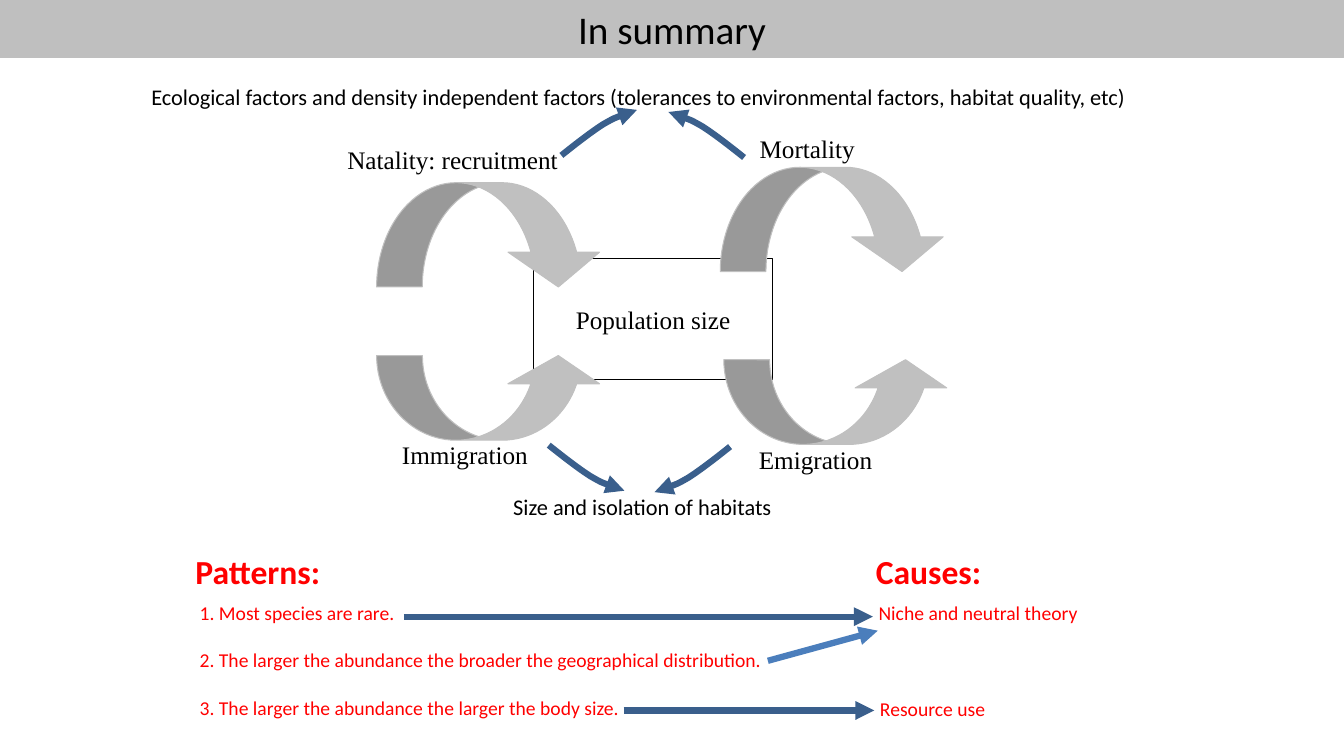
import pptx
import pptx.dml.color
import pptx.enum.shapes
import pptx.enum.text
import pptx.oxml
import pptx.oxml.ns
import pptx.util

Pt = pptx.util.Pt
SHAPES = pptx.enum.shapes.MSO_SHAPE
ALIGN = pptx.enum.text.PP_ALIGN
ANCHOR = pptx.enum.text.MSO_ANCHOR
BLACK, RED, BLUE, LIGHT_BLUE = "000000", "FF0000", "3A5F8C", "4B7EBC"
BAR_GRAY, ARROW_GRAY = "BFBFBF", "C0C0C0"
SERIF, SANS = "Times New Roman", "Calibri"
CURVE = [(10, -8), (21, -16.5), (29.5, -22), (39, -27.5), (46.5, -30), (54, -32.5)]


def color(hex_string):
    return pptx.dml.color.RGBColor.from_string(hex_string)


def style_paragraph(paragraph, size, font_name, hex_string, bold=False):
    paragraph.font.size = Pt(size)
    paragraph.font.name = font_name
    paragraph.font.color.rgb = color(hex_string)
    paragraph.font.bold = bold


def add_text(slide, box, lines, size, font_name, hex_string, wrap=False, gap=0):
    text_box = slide.shapes.add_textbox(*map(Pt, box))
    frame = text_box.text_frame
    frame.word_wrap = wrap
    for index, line in enumerate(lines):
        paragraph = frame.add_paragraph() if index else frame.paragraphs[0]
        paragraph.text = line
        if index:
            paragraph.space_before = Pt(gap)
        style_paragraph(paragraph, size, font_name, hex_string)
    return text_box


def add_preset(slide, preset, box, fill, line):
    shape = slide.shapes.add_shape(preset, *map(Pt, box))
    shape.shadow.inherit = False
    if fill:
        shape.fill.solid()
        shape.fill.fore_color.rgb = color(fill)
    else:
        shape.fill.background()
    shape.line.color.rgb = color(line)
    shape.line.width = Pt(0.75)
    return shape


def style_arrow(shape, hex_string):
    shape.line.color.rgb = color(hex_string)
    shape.line.width = Pt(4.5)
    line = shape.line._get_or_add_ln()
    pptx.oxml.ns.qn("a:tailEnd")
    line.append(pptx.oxml.parse_xml(
        '<a:tailEnd xmlns:a="http://schemas.openxmlformats.org/drawingml/2006/main" type="triangle"/>'))


def add_straight_arrow(slide, start, end, hex_string):
    connector = slide.shapes.add_connector(
        pptx.enum.shapes.MSO_CONNECTOR.STRAIGHT, *map(Pt, start + end))
    style_arrow(connector, hex_string)
    properties = connector.element.spPr
    properties.append(properties.makeelement(pptx.oxml.ns.qn("a:effectLst"), {}))


def add_curved_arrow(slide, x, y, across, down):
    builder = slide.shapes.build_freeform(Pt(x), Pt(y))
    builder.add_line_segments(
        [(Pt(x + across * dx), Pt(y + down * dy)) for dx, dy in CURVE], close=False)
    shape = builder.convert_to_shape()
    segments = list(shape.element.iter(pptx.oxml.ns.qn("a:lnTo")))
    outline = segments[0].getparent()
    for first in range(0, len(segments), 3):
        curve = outline.makeelement(pptx.oxml.ns.qn("a:cubicBezTo"), {})
        outline.append(curve)
        for segment in segments[first:first + 3]:
            curve.append(segment[0])
            outline.remove(segment)
    shape.shadow.inherit = False
    shape.fill.background()
    style_arrow(shape, BLUE)


def add_title(slide, left, top, width, height):
    bar = add_preset(slide, SHAPES.RECTANGLE, (left, top, width, height), BAR_GRAY, BAR_GRAY)
    bar.text_frame.vertical_anchor = ANCHOR.MIDDLE
    paragraph = bar.text_frame.paragraphs[0]
    paragraph.text = "In summary"
    paragraph.alignment = ALIGN.CENTER
    style_paragraph(paragraph, 28, SANS, BLACK)


def add_population_cycle(slide, left, top, width, height):
    population = add_preset(
        slide, SHAPES.RECTANGLE, (left + 280, top + 129.5, 171, 86), None, BLACK)
    population.text_frame.vertical_anchor = ANCHOR.MIDDLE
    paragraph = population.text_frame.paragraphs[0]
    paragraph.text = "Population size"
    paragraph.alignment = ALIGN.CENTER
    style_paragraph(paragraph, 18, SERIF, BLACK)

    for x, y, arrow_height, adjustments, flipped in [
        (168, 75, 74.5, (0.438, 0.877, 0.333), False),
        (413.5, 64, 74.5, (0.438, 0.877, 0.333), False),
        (416, 201.5, 60.5, (0.541, 1.082, 0.333), True),
        (168, 198.5, 60.5, (0.541, 1.082, 0.333), True),
    ]:
        arrow = add_preset(slide, SHAPES.CURVED_DOWN_ARROW,
                           (left + x, top + y, 162.5, arrow_height), ARROW_GRAY, ARROW_GRAY)
        for index, adjustment in enumerate(adjustments):
            arrow.adjustments[index] = adjustment
        if flipped:
            arrow.element.spPr.xfrm.set("flipV", "1")

    for label, x, y, label_width in [
        ("Natality: recruitment", 140, 44, 215),
        ("Mortality", 434.5, 36, 105),
        ("Immigration", 179, 255, 135),
        ("Emigration", 434, 258, 122),
    ]:
        add_text(slide, (left + x, top + y, label_width, 36), [label], 18, SERIF, BLACK)

    add_text(slide, (left, top, width, 26.5),
             ["Ecological factors and density independent factors "
              "(tolerances to environmental factors, habitat quality, etc)"], 16, SANS, BLACK)
    add_text(slide, (left + 258.5, top + height - 26.5, 206, 26.5),
             ["Size and isolation of habitats"], 16, SANS, BLACK)
    for x, y, across, down in [
        (300, 55.5, 1, 1), (430.5, 57, -1, 1), (291, 262.5, 1, -1), (420.5, 263.5, -1, -1),
    ]:
        add_curved_arrow(slide, left + x, top + y, across, down)


def add_patterns_and_causes(slide, left, top, width, height):
    heading = slide.shapes.add_textbox(Pt(left), Pt(top), Pt(width), Pt(36))
    heading.text_frame.word_wrap = True
    paragraph = heading.text_frame.paragraphs[0]
    paragraph.text = "Patterns:\tCauses:"
    paragraph._p.get_or_add_pPr().append(pptx.oxml.parse_xml(
        '<a:tabLst xmlns:a="http://schemas.openxmlformats.org/drawingml/2006/main">'
        f'<a:tab pos="{Pt(486)}" algn="l"/></a:tabLst>'))
    style_paragraph(paragraph, 24, SANS, RED, bold=True)

    add_text(slide, (left + 3, top + 36, 417, height - 36), [
        "1. Most species are rare.",
        "2. The larger the abundance the broader the geographical distribution.",
        "3. The larger the abundance the larger the body size.",
    ], 14, SANS, RED, wrap=True, gap=16.8)
    for cause, x, y in [("Niche and neutral theory", 488, 36), ("Resource use", 489, 104)]:
        add_text(slide, (left + x, top + y, 213, 24.5), [cause], 14, SANS, RED, wrap=True)
    for start, end, hex_string in [
        ((156, 50.5), (491, 50.5), BLUE),
        ((416, 82), (494.5, 60.5), LIGHT_BLUE),
        ((313, 117.5), (492, 117.5), BLUE),
    ]:
        add_straight_arrow(slide, (left + start[0], top + start[1]),
                           (left + end[0], top + end[1]), hex_string)


def main():
    presentation = pptx.Presentation()
    presentation.slide_width = Pt(960)
    presentation.slide_height = Pt(540)
    slide = presentation.slides.add_slide(presentation.slide_layouts[6])
    add_title(slide, 0, 0, 960, 41)
    add_population_cycle(slide, 101, 55.5, 723, 320)
    add_patterns_and_causes(slide, 132.5, 390, 672, 128)
    presentation.save("out.pptx")


if __name__ == "__main__":
    main()
